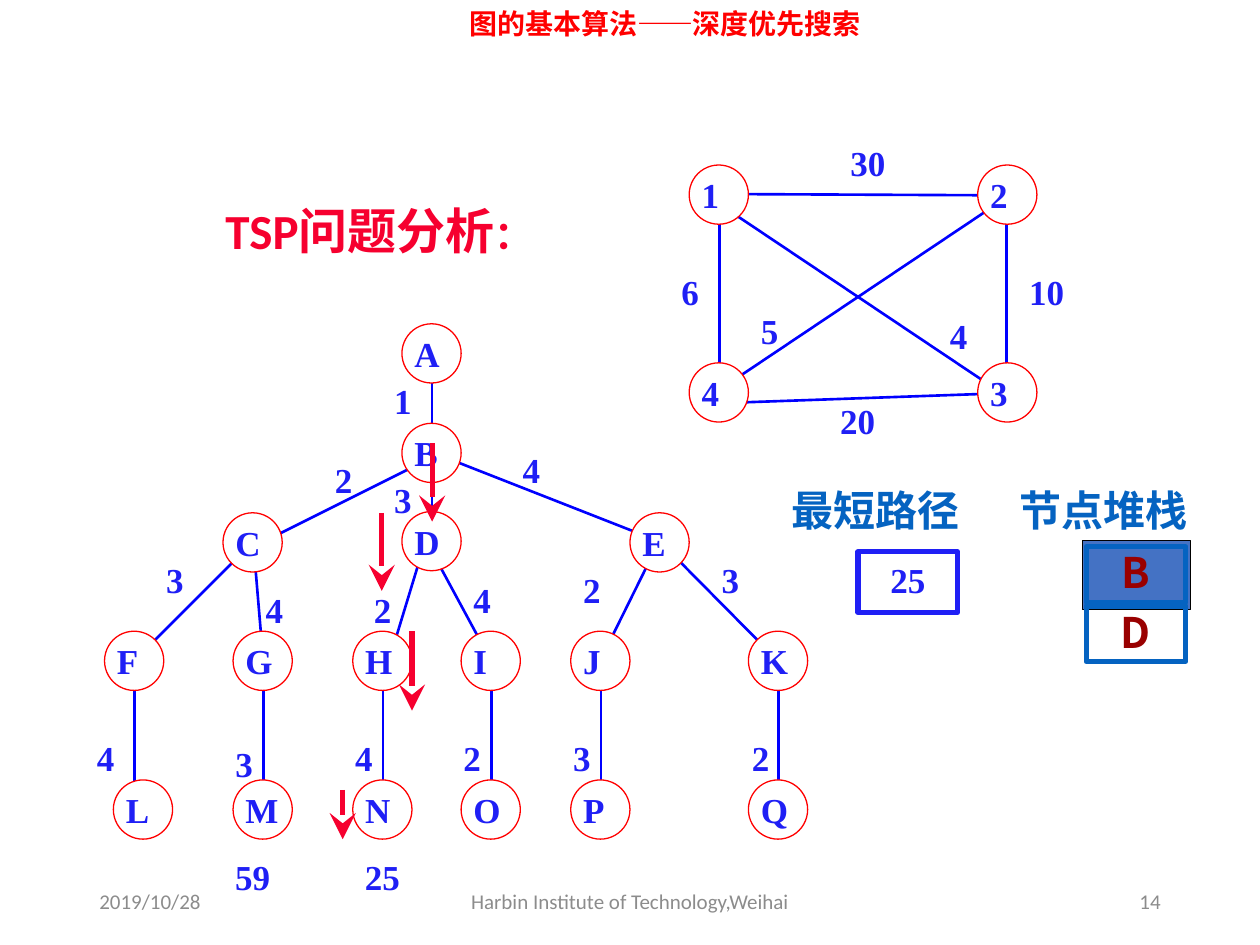
from dataclasses import dataclass

from lxml.etree import SubElement
from pptx import Presentation
from pptx.dml.color import RGBColor
from pptx.enum.shapes import MSO_CONNECTOR, MSO_SHAPE
from pptx.enum.text import MSO_ANCHOR, PP_ALIGN
from pptx.oxml.ns import qn
from pptx.util import Emu, Pt

EMU_PER_PX = 9144


@dataclass(frozen=True)
class Theme:
    """Colours, fonts and type sizes of the slide."""
    edge: str = "0000FF"
    ring: str = "FF0000"
    label: str = "1F1FF5"
    accent: str = "F6002F"
    heading: str = "0563C1"
    stack: str = "990000"
    stack_fill: str = "4472C4"
    footer: str = "8C8C8C"
    white: str = "FFFFFF"
    black: str = "000000"
    serif: str = "Times New Roman"
    sans: str = "Calibri"
    chinese: str = "Noto Sans CJK SC"
    title_size: int = 16
    topic_size: int = 28
    colon_size: int = 22
    heading_size: int = 24
    label_size: int = 20
    footer_size: int = 12


@dataclass(frozen=True)
class Box:
    """A rectangle in px."""
    left: int
    top: int
    width: int
    height: int

    def inner(self, left, top, width, height):
        """Return a box placed relative to this one."""
        return Box(self.left + left, self.top + top, width, height)

    def emu(self):
        """Return left, top, width and height in EMU."""
        return [px(value) for value in (self.left, self.top, self.width, self.height)]


THEME = Theme()


def px(value):
    """Convert px to EMU."""
    return Emu(value * EMU_PER_PX)


def style_run(run, size, color, font, bold=True):
    """Format one run for Latin and Chinese letters."""
    run.font.size = Pt(size)
    run.font.bold = bold
    run.font.name = font
    run.font.color.rgb = RGBColor.from_string(color)
    east_asian = SubElement(run.font._element, qn("a:ea"))
    east_asian.set("typeface", THEME.chinese)


def write(shape, text, size, color, font, align=PP_ALIGN.LEFT, anchor=MSO_ANCHOR.TOP,
          margins=(10, 5, 10, 5), wrap=True, bold=True):
    """Fill a shape with one formatted paragraph."""
    frame = shape.text_frame
    frame.text = text
    frame.word_wrap = wrap
    frame.vertical_anchor = anchor
    (frame.margin_left, frame.margin_top,
     frame.margin_right, frame.margin_bottom) = [px(margin) for margin in margins]
    paragraph = frame.paragraphs[0]
    paragraph.alignment = align
    style_run(paragraph.runs[0], size, color, font, bold)
    return paragraph


def add_text(shapes, box, *args, **options):
    """Add a text box with one paragraph."""
    return write(shapes.add_textbox(*box.emu()), *args, **options)


def add_block(shapes, kind, box, fill=None, line=None, weight=0.75):
    """Add a flat preset shape."""
    shape = shapes.add_shape(kind, *box.emu())
    shape.shadow.inherit = False
    if fill:
        shape.fill.solid()
        shape.fill.fore_color.rgb = RGBColor.from_string(fill)
    else:
        shape.fill.background()
    if line:
        shape.line.color.rgb = RGBColor.from_string(line)
        shape.line.width = Pt(weight)
    else:
        shape.line.fill.background()
    return shape


def add_line(shapes, box, ends, color=THEME.edge, weight=1.5, arrow=False):
    """Add a straight line between two points of a box."""
    x1, y1, x2, y2 = ends
    points = (box.left + x1, box.top + y1, box.left + x2, box.top + y2)
    connector = shapes.add_connector(MSO_CONNECTOR.STRAIGHT, *map(px, points))
    connector.line.color.rgb = RGBColor.from_string(color)
    connector.line.width = Pt(weight)
    if arrow:
        tail = SubElement(connector.line._get_or_add_ln(), qn("a:tailEnd"))
        for name, value in (("type", "stealth"), ("w", "lg"), ("len", "lg")):
            tail.set(name, value)
    SubElement(connector._element.spPr, qn("a:effectLst"))


def add_network(shapes, box, edges, nodes, weights):
    """Draw edges, lettered circles and edge weights."""
    for ends in edges:
        add_line(shapes, box, ends)
    for name, left, top in nodes:
        circle = add_block(shapes, MSO_SHAPE.OVAL, box.inner(left, top, 47, 47),
                           THEME.white, THEME.ring)
        write(circle, name, THEME.label_size, THEME.label, THEME.serif,
              anchor=MSO_ANCHOR.MIDDLE, margins=(3, 0, 0, 0), wrap=False)
    for value, left, top in weights:
        width = 47 if len(value) == 1 else 71
        add_text(shapes, box.inner(left, top, width, 43), value,
                 THEME.label_size, THEME.label, THEME.serif)


def add_number(shapes, box, value, line=None):
    """Add a white box with a centred number."""
    block = add_block(shapes, MSO_SHAPE.RECTANGLE, box, THEME.white, line, 3)
    write(block, value, THEME.label_size, THEME.label, THEME.serif, PP_ALIGN.CENTER)


def add_search_tree(shapes, box):
    """Draw the search tree, its totals and the arrows of the current path."""
    columns = (23, 125, 220, 306, 393, 534)
    leaf_columns = (30,) + columns[1:]
    edges = [(283, 46, 283, 117), (283, 125, 283, 180), (275, 117, 149, 180),
             (464, 180, 283, 109), (141, 180, 46, 275), (149, 275, 141, 180),
             (275, 188, 251, 267), (283, 188, 330, 275), (463, 180, 416, 275),
             (558, 275, 464, 180)]
    edges += [(left + 24, 275, left + 24, 393) for left in columns]
    nodes = [("A", 259, 7), ("B", 259, 86), ("C", 117, 157), ("D", 259, 156), ("E", 440, 157)]
    nodes += [(name, left, 251) for name, left in zip("FGHIJK", columns)]
    nodes += [(name, left, 369) for name, left in zip("LMNOPQ", leaf_columns)]
    weights = [("1", 243, 46), ("2", 196, 109), ("3", 243, 125), ("4", 345, 101),
               ("3", 62, 188), ("4", 141, 212), ("2", 227, 212), ("4", 306, 204),
               ("2", 393, 196), ("3", 503, 188), ("4", 7, 330), ("3", 117, 334),
               ("4", 212, 330), ("2", 298, 330), ("3", 385, 330), ("2", 527, 330)]
    add_network(shapes, box, edges, nodes, weights)
    for value, left in (("59", 101), ("25", 204)):
        add_number(shapes, box.inner(left, 424, 79, 43), value)
    for x, start, end in ((283, 102, 164), (243, 157, 219), (267, 251, 314), (212, 377, 416)):
        add_line(shapes, box, (x, start, x, end), THEME.accent, 3, arrow=True)


def add_city_graph(shapes, box):
    """Draw the weighted graph of four cities as one group."""
    edges = [(277, 220, 41, 62), (261, 62, 49, 204), (261, 55, 41, 54),
             (269, 212, 41, 220), (41, 62, 41, 212), (269, 196, 269, 47)]
    nodes = [("1", 17, 31), ("2", 246, 31), ("3", 246, 188), ("4", 17, 188)]
    weights = [("30", 135, 7), ("6", 1, 110), ("10", 277, 110),
               ("5", 64, 141), ("4", 214, 145), ("20", 127, 212)]
    add_network(shapes.add_group_shape().shapes, box, edges, nodes, weights)


def add_search_state(shapes, box):
    """Draw the shortest path value and the node stack."""
    for text, left in (("最短路径", 8), ("节点堆栈", 189)):
        add_text(shapes, box.inner(left, 0, 165, 50), text,
                 THEME.heading_size, THEME.heading, THEME.chinese)
    add_number(shapes, box.inner(71, 58, 79, 48), "25", THEME.label)
    add_block(shapes, MSO_SHAPE.RECTANGLE, box.inner(249, 49, 86, 55),
              THEME.stack_fill, THEME.black)
    for row, name in enumerate("BD"):
        cell = add_block(shapes, MSO_SHAPE.RECTANGLE, box.inner(252, 54 + 47 * row, 79, 44),
                         line=THEME.heading, weight=3)
        write(cell, name, THEME.heading_size, THEME.stack, THEME.chinese,
              PP_ALIGN.CENTER, margins=(0, 0, 0, 0))


def add_headings(shapes, box):
    """Write the slide title and the topic line."""
    add_text(shapes, box.inner(154, 0, 748, 55), "图的基本算法——深度优先搜索",
             THEME.title_size, THEME.ring, THEME.chinese, PP_ALIGN.CENTER, wrap=False)
    topic = add_text(shapes, box.inner(138, 147, 323, 63), "TSP问题分析", THEME.topic_size,
                     THEME.accent, THEME.sans, margins=(41, 21, 10, 5))
    topic.line_spacing = 0.8
    colon = topic.add_run()
    colon.text = "："
    style_run(colon, THEME.colon_size, THEME.accent, THEME.sans)


def add_footer(shapes, box):
    """Write the date, the institute and the slide number."""
    parts = (("2019/10/28", 0, 225, PP_ALIGN.LEFT),
             ("Harbin Institute of Technology,Weihai", 262, 338, PP_ALIGN.CENTER),
             ("14", 637, 225, PP_ALIGN.RIGHT))
    for text, left, width, align in parts:
        add_text(shapes, box.inner(left, 0, width, box.height), text, THEME.footer_size,
                 THEME.footer, THEME.sans, align, MSO_ANCHOR.MIDDLE, bold=False)


def main():
    """Build and save the slide."""
    presentation = Presentation()
    presentation.slide_width, presentation.slide_height = px(1000), px(750)
    slide = presentation.slides.add_slide(presentation.slide_layouts[6])
    add_search_tree(slide.shapes, Box(60, 250, 600, 470))
    add_city_graph(slide.shapes, Box(530, 100, 350, 260))
    add_search_state(slide.shapes, Box(610, 380, 350, 150))
    add_headings(slide.shapes, Box(0, 0, 1000, 210))
    add_footer(slide.shapes, Box(69, 695, 862, 40))
    presentation.save("out.pptx")


if __name__ == "__main__":
    main()
